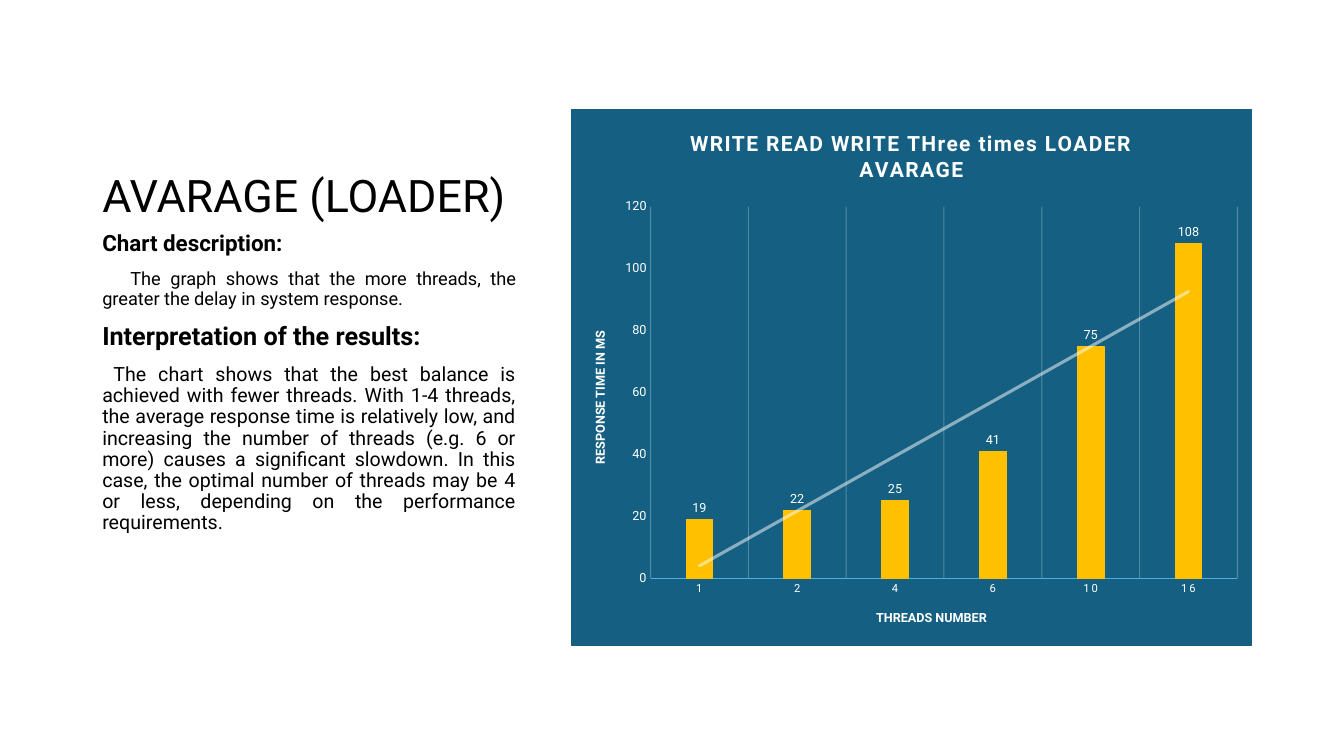
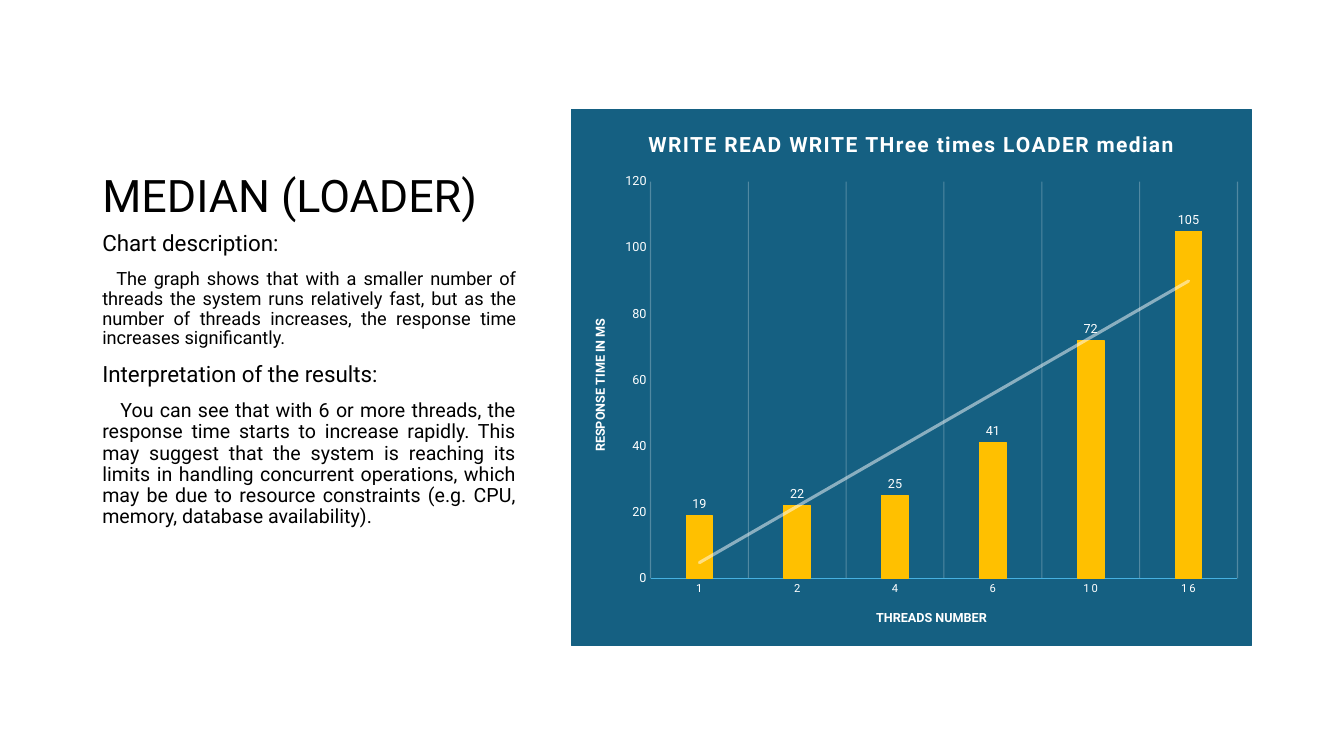
from lxml import etree
from pptx import Presentation
from pptx.chart.data import CategoryChartData
from pptx.dml.color import RGBColor
from pptx.enum.chart import XL_CHART_TYPE, XL_LABEL_POSITION, XL_TICK_MARK
from pptx.enum.text import MSO_ANCHOR, PP_ALIGN
from pptx.oxml import parse_xml
from pptx.oxml.ns import nsdecls, qn
from pptx.util import Pt

COLUMNS = XL_CHART_TYPE.COLUMN_CLUSTERED
OUTSIDE_END = XL_LABEL_POSITION.OUTSIDE_END
NO_TICK = XL_TICK_MARK.NONE
BOTTOM = MSO_ANCHOR.BOTTOM
TOP = MSO_ANCHOR.TOP
LEFT = PP_ALIGN.LEFT
JUSTIFY = PP_ALIGN.JUSTIFY

BLACK = RGBColor(0x00, 0x00, 0x00)
WHITE = RGBColor(0xFF, 0xFF, 0xFF)
PANEL_BLUE = RGBColor(0x15, 0x60, 0x82)
AXIS_BLUE = RGBColor(0x46, 0xB1, 0xE1)
BAR_YELLOW = RGBColor(0xFF, 0xC0, 0x00)
FONT = "Roboto"

# Left, top, width, height in points
TITLE_BOX = (66, 36, 309.6, 126)
BODY_BOX = (66, 162, 309.6, 300)
CHART_BOX = (408, 78, 486, 383.5)

THREADS = ("1", "2", "4", "6", "10", "16")

# Body paragraphs: text, size, bold, alignment, first-line indent
SLIDES = (
    {
        "title": "AVARAGE (LOADER)",
        "body": (
            ("Chart description:", 16, True, LEFT, 0),
            ("The graph shows that the more threads, the greater the delay in "
             "system response.", 13, False, JUSTIFY, 20),
            ("Interpretation of the results:", 18, True, LEFT, 0),
            ("The chart shows that the best balance is achieved with fewer "
             "threads. With 1-4 threads, the average response time is "
             "relatively low, and increasing the number of threads (e.g. 6 or "
             "more) causes a significant slowdown. In this case, the optimal "
             "number of threads may be 4 or less, depending on the performance "
             "requirements.", 14, False, JUSTIFY, 8),
        ),
        "chart_title": "WRITE READ WRITE THree times LOADER AVARAGE",
        "times": (19, 22, 25, 41, 75, 108),
    },
    {
        "title": "MEDIAN (LOADER)",
        "body": (
            ("Chart description:", 16, False, LEFT, 0),
            ("The graph shows that with a smaller number of threads the system "
             "runs relatively fast, but as the number of threads increases, "
             "the response time increases significantly.",
             13, False, JUSTIFY, 10),
            ("Interpretation of the results:", 16, False, JUSTIFY, 0),
            ("You can see that with 6 or more threads, the response time "
             "starts to increase rapidly. This may suggest that the system is "
             "reaching its limits in handling concurrent operations, which may "
             "be due to resource constraints (e.g. CPU, memory, database "
             "availability).", 14, False, JUSTIFY, 13),
        ),
        "chart_title": "WRITE READ WRITE THree times LOADER median",
        "times": (19, 22, 25, 41, 72, 105),
    },
)


def in_points(box):
    return [Pt(length) for length in box]


def style_font(font, size, color, bold=False):
    font.name = FONT
    font.size = Pt(size)
    font.bold = bold
    font.color.rgb = color


def add_text(slide, box, paragraphs, anchor, space_before=0):
    frame = slide.shapes.add_textbox(*in_points(box)).text_frame
    frame.word_wrap = True
    frame.vertical_anchor = anchor
    for index, (text, size, bold, alignment, indent) in enumerate(paragraphs):
        paragraph = frame.add_paragraph() if index else frame.paragraphs[0]
        paragraph.alignment = alignment
        paragraph.line_spacing = 0.9
        paragraph.space_before = Pt(space_before if index else 0)
        if indent:
            paragraph._p.get_or_add_pPr().set("indent", str(Pt(indent)))
        run = paragraph.add_run()
        run.text = text
        style_font(run.font, size, BLACK, bold)


def set_title(owner, text, size, spacing=0):
    """Give a chart or an axis a bold white title; spacing is in points."""
    owner.has_title = True
    title = owner.chart_title if hasattr(owner, "chart_title") else owner.axis_title
    run = title.text_frame.paragraphs[0].add_run()
    run.text = text
    style_font(run.font, size, WHITE, True)
    run._r.get_or_add_rPr().set("spc", str(spacing * 100))


def style_axes(chart):
    threads_axis, time_axis = chart.category_axis, chart.value_axis
    for axis, title, size in ((threads_axis, "THREADS NUMBER", 8),
                              (time_axis, "RESPONSE TIME IN MS", 9)):
        set_title(axis, title, 9)
        axis.major_tick_mark = axis.minor_tick_mark = NO_TICK
        style_font(axis.tick_labels.font, size, WHITE)

    threads_axis.format.line.color.rgb = AXIS_BLUE
    threads_axis.format.line.width = Pt(0.25)
    threads_axis.has_major_gridlines = True
    grid_line = threads_axis.major_gridlines.format.line
    grid_line.color.rgb = WHITE
    grid_line.width = Pt(0.75)
    grid_color = chart._chartSpace.xpath(".//c:majorGridlines//a:srgbClr")[0]
    etree.SubElement(grid_color, qn("a:alpha")).set("val", "25000")
    label_style = chart._chartSpace.xpath(".//c:catAx/c:txPr//a:defRPr")[0]
    label_style.set("spc", "120")

    time_axis.has_major_gridlines = False
    time_axis.format.line.fill.background()
    time_axis.minimum_scale = 0
    time_axis.maximum_scale = 120
    time_axis.major_unit = 20


def style_bars(plot):
    plot.gap_width = 269
    plot.overlap = -20
    plot.vary_by_categories = False
    series = plot.series[0]
    series.invert_if_negative = False
    series.format.fill.solid()
    series.format.fill.fore_color.rgb = BAR_YELLOW
    series.format.line.color.rgb = BAR_YELLOW
    series.format.line.width = Pt(0.75)
    labels = series.data_labels
    labels.show_value = True
    labels.position = OUTSIDE_END
    style_font(labels.font, 9, WHITE)


def add_trend_line(series):
    series._element.find(qn("c:cat")).addprevious(parse_xml(
        f'<c:trendline {nsdecls("c", "a")}><c:spPr>'
        f'<a:ln w="{Pt(2.25)}" cap="rnd"><a:solidFill><a:srgbClr val="{WHITE}">'
        '<a:alpha val="50000"/></a:srgbClr></a:solidFill></a:ln></c:spPr>'
        '<c:trendlineType val="linear"/><c:dispRSqr val="0"/>'
        '<c:dispEq val="0"/></c:trendline>'))


def fill_panel(chart):
    """Colour the chart area and leave the plot area clear."""
    space = chart._chartSpace
    fill = f'<a:solidFill><a:srgbClr val="{PANEL_BLUE}"/></a:solidFill>'
    space.find(qn("c:txPr")).addprevious(parse_xml(
        f'<c:spPr {nsdecls("c", "a")}>{fill}'
        f'<a:ln w="{Pt(0.75)}">{fill}</a:ln></c:spPr>'))
    space.xpath(".//c:plotArea")[0].append(parse_xml(
        f'<c:spPr {nsdecls("c", "a")}><a:noFill/>'
        '<a:ln><a:noFill/></a:ln></c:spPr>'))


def add_response_chart(slide, box, title, times):
    data = CategoryChartData()
    data.categories = THREADS
    data.add_series("Series 1", times)
    chart = slide.shapes.add_chart(COLUMNS, *in_points(box), data).chart
    style_font(chart.font, 10, BLACK)
    chart.has_legend = False
    set_title(chart, title, 15, spacing=1)
    chart.chart_title.include_in_layout = False
    style_axes(chart)
    style_bars(chart.plots[0])
    add_trend_line(chart.plots[0].series[0])
    fill_panel(chart)


def add_result_slide(presentation, content):
    slide = presentation.slides.add_slide(presentation.slide_layouts[6])
    heading = (content["title"], 32, False, LEFT, 0)
    add_text(slide, TITLE_BOX, [heading], BOTTOM)
    add_response_chart(slide, CHART_BOX, content["chart_title"], content["times"])
    add_text(slide, BODY_BOX, content["body"], TOP, space_before=10)


def main():
    presentation = Presentation()
    presentation.slide_width = Pt(960)
    presentation.slide_height = Pt(540)
    for content in SLIDES:
        add_result_slide(presentation, content)
    presentation.save("out.pptx")


if __name__ == "__main__":
    main()
